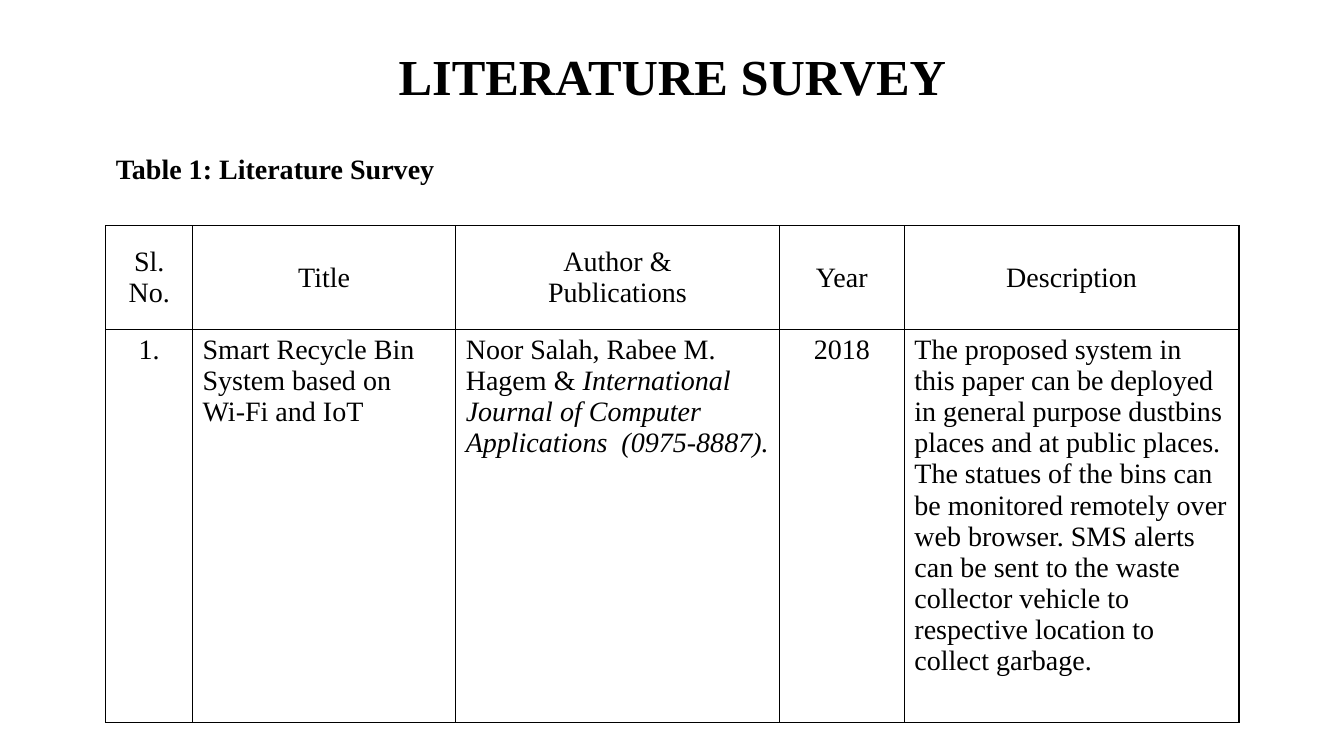
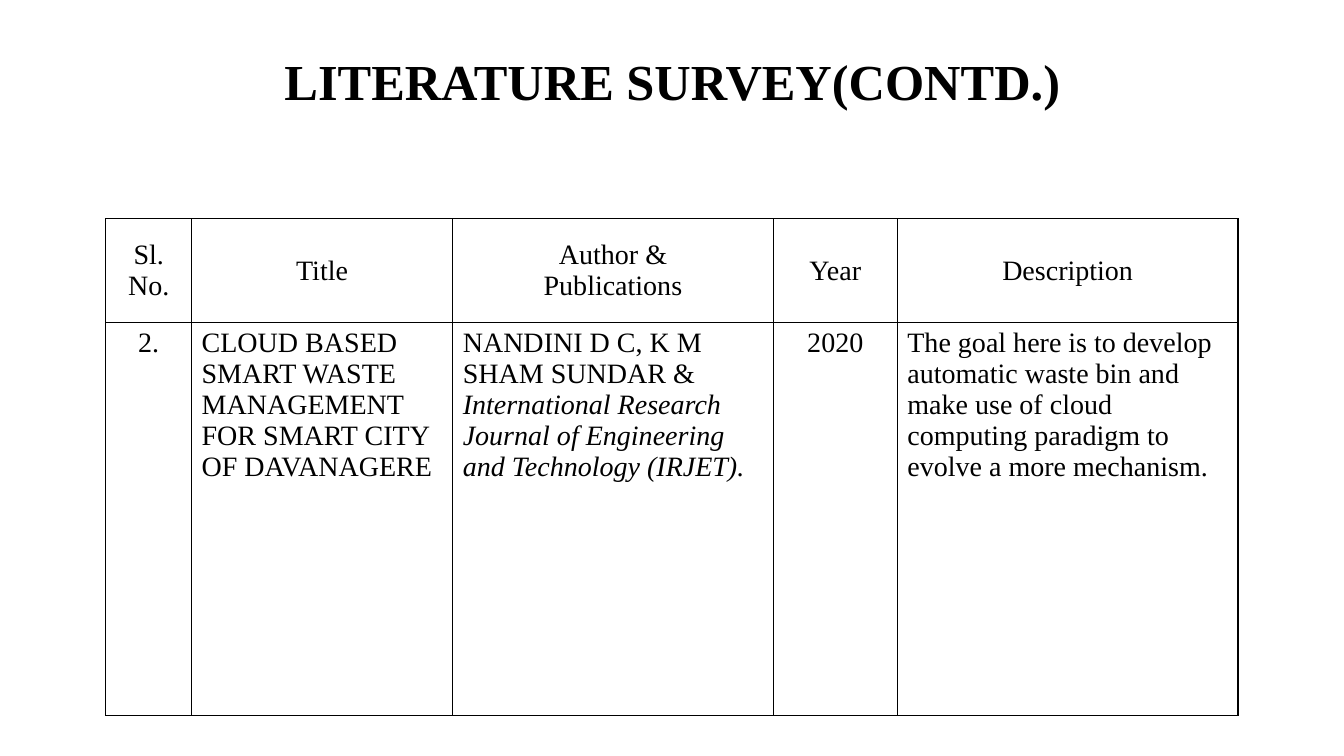
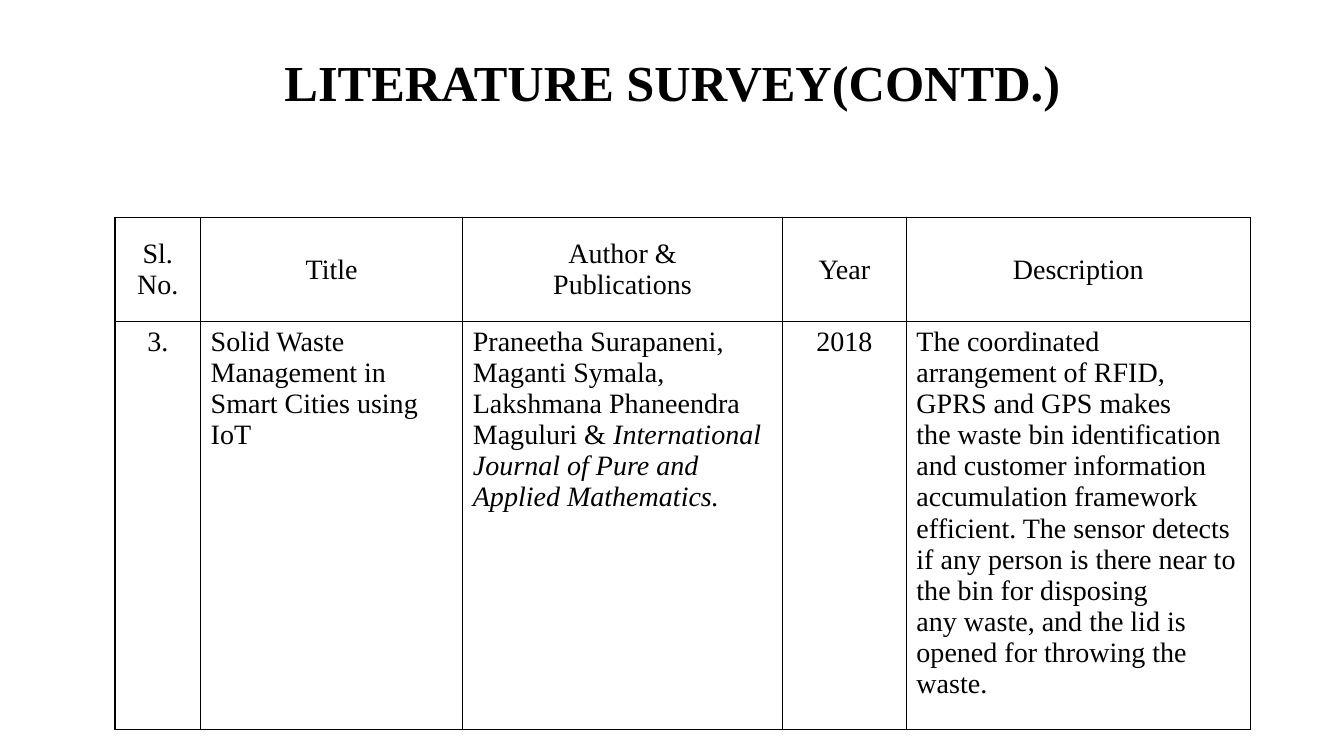
import pptx
import pptx.util
import pptx.dml.color
import pptx.enum.text
import pptx.oxml
import pptx.oxml.ns

Inches = pptx.util.Inches
Align = pptx.enum.text.PP_ALIGN
Anchor = pptx.enum.text.MSO_ANCHOR
Fit = pptx.enum.text.MSO_AUTO_SIZE
BLACK = pptx.dml.color.RGBColor(0x00, 0x00, 0x00)
WHITE = pptx.dml.color.RGBColor(0xFF, 0xFF, 0xFF)

BODY = {"name": "Times New Roman", "size": pptx.util.Pt(20), "bold": False}
STRONG = {**BODY, "bold": True}
TITLE = {**STRONG, "size": pptx.util.Pt(36)}
HEADS = ["Sl. No.", "Title", "Author &\nPublications", "Year", "Description"]
MIDDLE = (0, 3)
HEAD_H = 1.03

SURVEY = [
    {
        "title": "LITERATURE SURVEY",
        "top": (1.67, 0.35, 10, 0.76),
        "caption": "Table 1: Literature Survey",
        "grid": (1.05, 2.24, 11.24, 4.93),
        "cols": [0.86, 2.61, 3.21, 1.24, 3.32],
        "row": [
            "1.",
            "Smart Recycle Bin System based on\nWi-Fi and IoT",
            "Noor Salah, Rabee M. Hagem & *International Journal of "
            "Computer Applications  (0975-8887).*",
            "2018",
            "The proposed system in this paper can be deployed in general "
            "purpose dustbins places and at public places. The statues of "
            "the bins can be monitored remotely over web browser. SMS alerts "
            "can be sent to the waste collector vehicle to respective "
            "location to collect garbage.",
        ],
    },
    {
        "title": "LITERATURE SURVEY(CONTD.)",
        "top": (1.67, 0.33, 10, 0.83),
        "grid": (1.05, 2.17, 11.23, 4.93),
        "cols": [0.85, 2.59, 3.18, 1.23, 3.38],
        "row": [
            "2.",
            "CLOUD BASED SMART WASTE MANAGEMENT FOR SMART CITY OF DAVANAGERE",
            "NANDINI D C, K M SHAM SUNDAR &\n*International Research "
            "Journal of Engineering and Technology (IRJET).*",
            "2020",
            "The goal here is to develop automatic waste bin and make use of "
            "cloud computing paradigm to evolve a more mechanism.",
        ],
    },
    {
        "title": "LITERATURE SURVEY(CONTD.)",
        "top": (1.67, 0.33, 10, 0.84),
        "grid": (1.14, 2.16, 11.26, 5.08),
        "cols": [0.85, 2.6, 3.17, 1.23, 3.41],
        "row": [
            "3.",
            "Solid Waste Management in Smart Cities using IoT",
            "Praneetha Surapaneni,\nMaganti Symala,\nLakshmana Phaneendra "
            "Maguluri & *International Journal of Pure and Applied "
            "Mathematics.*",
            "2018",
            "The coordinated arrangement of RFID, GPRS and GPS makes\n"
            "the waste bin identification and customer information\n"
            "accumulation framework efficient. The sensor detects if any "
            "person is there near to the bin for disposing\n"
            "any waste, and the lid is opened for throwing the waste.",
        ],
    },
]


def assign(item, values):
    for key, value in values.items():
        setattr(item, key, value)


def write(frame, text, style, align=Align.LEFT, spacing=1.0):
    frame.word_wrap = True
    for i, line in enumerate(text.split("\n")):
        para = frame.paragraphs[0] if i == 0 else frame.add_paragraph()
        assign(para, {"alignment": align, "line_spacing": spacing})
        for j, part in enumerate(line.split("*")):
            if part:
                run = para.add_run()
                run.text = part
                assign(run.font, {**style, "italic": j % 2 == 1})
                run.font.color.rgb = BLACK


def add_title(slide, box, text):
    title = slide.shapes.title
    sides = ("left", "top", "width", "height")
    assign(title, dict(zip(sides, map(Inches, box))))
    frame = title.text_frame
    assign(frame, {"auto_size": Fit.NONE, "vertical_anchor": Anchor.BOTTOM})
    write(frame, text, TITLE, Align.CENTER, 0.9)


def add_label(slide, box, text):
    label = slide.shapes.add_textbox(*map(Inches, box))
    write(label.text_frame, text, STRONG)


def add_edges(cell):
    props = cell._tc.get_or_add_tcPr()
    for side in "LRTB":
        props.append(pptx.oxml.parse_xml(
            f'<a:ln{side} {pptx.oxml.ns.nsdecls("a")} w="12700">'
            f'<a:solidFill><a:srgbClr val="{BLACK}"/></a:solidFill>'
            f'</a:ln{side}>'))


def add_grid(slide, box, cols, row):
    table = slide.shapes.add_table(2, len(cols), *map(Inches, box)).table
    assign(table, {"first_row": False, "horz_banding": False})
    for col, width in zip(table.columns, cols):
        col.width = Inches(width)
    for line, height in zip(table.rows, (HEAD_H, box[3] - HEAD_H)):
        line.height = Inches(height)
    for r, texts in enumerate((HEADS, row)):
        for c, text in enumerate(texts):
            cell = table.cell(r, c)
            add_edges(cell)
            cell.fill.background()
            cell.vertical_anchor = Anchor.TOP if r else Anchor.MIDDLE
            mid = r == 0 or c in MIDDLE
            write(cell.text_frame, text, BODY,
                  Align.CENTER if mid else Align.LEFT)


def add_page(deck, page):
    slide = deck.slides.add_slide(deck.slide_layouts[5])
    add_title(slide, page["top"], page["title"])
    add_grid(slide, page["grid"], page["cols"], page["row"])
    if "caption" in page:
        add_label(slide, (page["grid"][0], 1.45, 4.09, 0.44), page["caption"])


deck = pptx.Presentation()
assign(deck, {"slide_width": Inches(13.33), "slide_height": Inches(7.5)})
ground = deck.slide_master.background.fill
ground.solid()
ground.fore_color.rgb = WHITE
for page in SURVEY:
    add_page(deck, page)
deck.save("out.pptx")
